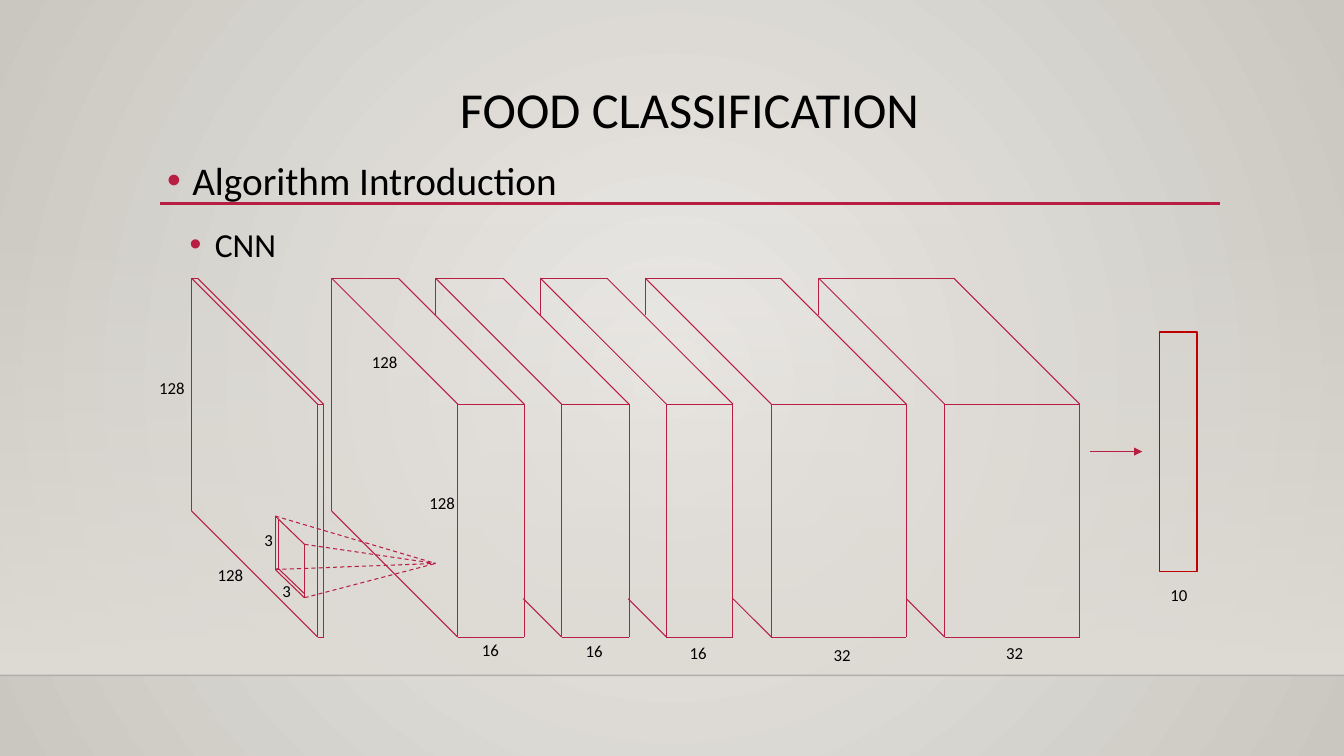
from dataclasses import dataclass

from lxml import etree
from pptx import Presentation
from pptx import util as u
from pptx.dml.color import RGBColor
from pptx.enum import dml, shapes, text
from pptx.oxml.ns import qn

PX = 9144  # 100 px to the inch


@dataclass(frozen=True)
class Theme:
    font: str = "Calibri"
    ink: str = "000000"
    accent: str = "B71E42"
    output: str = "C00000"
    floor: str = "DFDBD5"
    floor_edge: str = "000001"
    glow: tuple = ("ECEAE7", "CAC7C1")
    title_size: int = 36
    heading_size: int = 28
    body_size: int = 24
    label_size: int = 12
    thin: float = 0.75


def sub(parent, tag, **attributes):
    return etree.SubElement(parent, qn(tag), attributes)


class Sketch:
    def __init__(self, page, theme):
        self.page = page
        self.theme = theme

    def gradient(self, fill, colours):
        fill.gradient()
        for stop, colour in zip(fill.gradient_stops, colours):
            stop.color.rgb = RGBColor.from_string(colour)

    def background(self):
        """Fill the page with a round glow from its centre."""
        self.gradient(self.page.background.fill, self.theme.glow)
        linear = next(self.page.element.iter(qn("a:lin")))
        holder = linear.getparent()
        holder.remove(linear)
        circle = sub(holder, "a:path", path="circle")
        sub(circle, "a:fillToRect", l="50000", t="50000", r="50000", b="50000")

    def box(self, left, top, width, height):
        box = self.page.shapes.add_shape(
            shapes.MSO_SHAPE.RECTANGLE, *(PX * n for n in (left, top, width, height)))
        box.shadow.inherit = False
        return box

    def floor(self, left, top, width, height):
        """Add a band that fades in from clear at its top."""
        band = self.box(left, top, width, height)
        self.gradient(band.fill, [self.theme.floor] * 2)
        band.fill.gradient_angle = 270
        sub(next(band.element.iter(qn("a:srgbClr"))), "a:alpha", val="0")
        band.line.fill.background()

    def outline(self, left, top, width, height):
        box = self.box(left, top, width, height)
        box.fill.background()
        box.line.color.rgb = RGBColor.from_string(self.theme.output)
        box.line.width = u.Pt(1.25)

    def line(self, start, end, colour=None, width=None, dashed=False, arrow=False, alpha=None):
        link = self.page.shapes.add_connector(
            shapes.MSO_CONNECTOR.STRAIGHT, *(PX * n for n in (*start, *end)))
        link.line.color.rgb = RGBColor.from_string(colour or self.theme.accent)
        link.line.width = u.Pt(width or self.theme.thin)
        if dashed:
            link.line.dash_style = dml.MSO_LINE.DASH
        if arrow:
            sub(next(link.element.iter(qn("a:ln"))), "a:tailEnd", type="triangle")
        if alpha:
            sub(next(link.element.iter(qn("a:srgbClr"))), "a:alpha", val=str(alpha * 1000))
        sub(link.element.spPr, "a:effectLst")

    def block(self, left, width, covered=True):
        """Draw a slanted block; a covered one shows only stubs of its far left side."""
        top, bottom, depth = 401, 632, 125
        right, back = left + width, top - depth
        stub = 38 if covered else depth
        back_end = back + (37 if covered else bottom - top)
        for x in (left, right):
            self.line((x, top), (x, bottom))
            self.line((x, top), (x - depth, back))
        self.line((left - depth, back), (right - depth, back))
        self.line((left - depth, back), (left - depth, back_end))
        self.line((left, bottom), (left - stub, bottom - stub))
        for y in (top, bottom):
            self.line((left, y), (right, y))

    def add_words(self, frame, words, size):
        para = frame.paragraphs[0]
        span = para.add_run()
        span.text = words
        span.font.size = u.Pt(size)
        span.font.name = self.theme.font
        span.font.color.rgb = RGBColor.from_string(self.theme.ink)
        return para

    def bullet(self, frame, words, size):
        frame.word_wrap = True
        frame.auto_size = text.MSO_AUTO_SIZE.NONE
        frame.vertical_anchor = text.MSO_ANCHOR.TOP
        para = self.add_words(frame, words, size)
        para.line_spacing = 1.2
        para.space_before = u.Pt(10)
        props = para._p.get_or_add_pPr()
        props.set("marL", str(25 * PX))
        props.set("indent", str(-25 * PX))
        sub(sub(props, "a:buClr"), "a:srgbClr", val=self.theme.accent)
        sub(props, "a:buFont", typeface="Arial")
        sub(props, "a:buChar", char="•")

    def text_box(self, left, top, width, height):
        frame = self.page.shapes.add_textbox(
            *(PX * n for n in (left, top, width, height))).text_frame
        frame.word_wrap = True
        return frame

    def label(self, words, left, top, width):
        frame = self.text_box(left, top, width, 30)
        frame.auto_size = text.MSO_AUTO_SIZE.SHAPE_TO_FIT_TEXT
        self.add_words(frame, words, self.theme.label_size)

    def placeholder(self, index, left, top, width, height):
        """Move a template placeholder and bring it in front of the backdrop."""
        holder = self.page.placeholders[index]
        holder.left, holder.top, holder.width, holder.height = (
            PX * n for n in (left, top, width, height))
        self.page.shapes.element.append(holder.element)
        return holder.text_frame

    def title(self, words, *place):
        frame = self.placeholder(0, *place)
        frame.auto_size = text.MSO_AUTO_SIZE.NONE
        frame.vertical_anchor = text.MSO_ANCHOR.TOP
        para = self.add_words(frame, words, self.theme.title_size)
        para.alignment = text.PP_ALIGN.CENTER
        para.line_spacing = 0.9


def draw_kernel(sketch):
    near_top, near_bottom = (302, 540), (302, 593)
    far_top, far_bottom = (273, 512), (273, 565)
    inner_top, inner_bottom = (276, 516), (276, 564)
    edges = [(near_top, near_bottom), (near_top, far_top), (near_bottom, far_bottom),
             (far_top, far_bottom), (far_bottom, inner_bottom),
             (inner_top, inner_bottom), ((302, 589), inner_bottom)]
    for start, end in edges:
        sketch.line(start, end)
    for corner in (far_top, near_top, near_bottom, far_bottom):
        sketch.line(corner, (432, 559), dashed=True)


def main():
    deck = Presentation()
    deck.slide_width, deck.slide_height = 1333 * PX, 750 * PX
    theme = Theme()
    sketch = Sketch(deck.slides.add_slide(deck.slide_layouts[1]), theme)

    sketch.background()
    sketch.floor(0, 221, 1333, 449)
    sketch.line((0, 670), (1333, 670), theme.floor_edge, 1, alpha=20)
    sketch.line((159, 202), (1210, 202), width=2.5)

    sketch.title("FOOD CLASSIFICATION", 159, 79, 1050, 80)
    sketch.bullet(sketch.placeholder(1, 178, 209, 1031, 438), "CNN", theme.body_size)
    sketch.bullet(sketch.text_box(156, 141, 1050, 55), "Algorithm Introduction",
                  theme.heading_size)

    sketch.block(315, 6, covered=False)
    sketch.block(454, 66, covered=False)
    for left, width in [(557, 67), (661, 66), (765, 134), (937, 134)]:
        sketch.block(left, width)
    draw_kernel(sketch)
    sketch.line((1081, 448), (1133, 448), arrow=True)
    sketch.outline(1150, 329, 37, 238)

    for words, left, top, width in [
            ("128", 148, 370, 89), ("128", 206, 555, 89), ("3", 271, 571, 19),
            ("3", 253, 521, 19), ("128", 359, 344, 89), ("128", 416, 484, 89),
            ("16", 468, 630, 49), ("16", 571, 631, 49), ("16", 674, 633, 49),
            ("32", 817, 635, 49), ("32", 988, 633, 49), ("10", 1151, 575, 43)]:
        sketch.label(words, left, top, width)

    deck.save("out.pptx")


if __name__ == "__main__":
    main()
